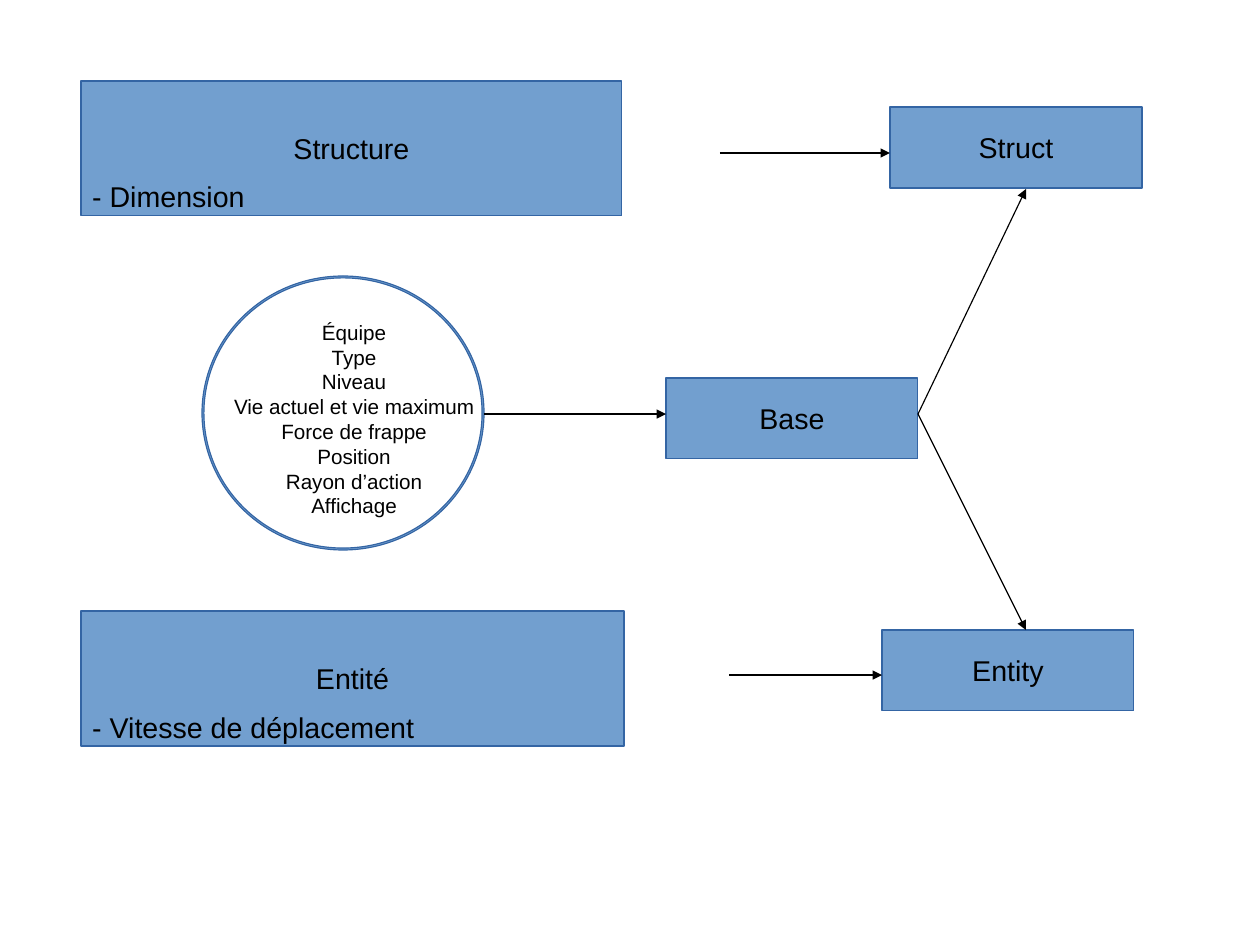
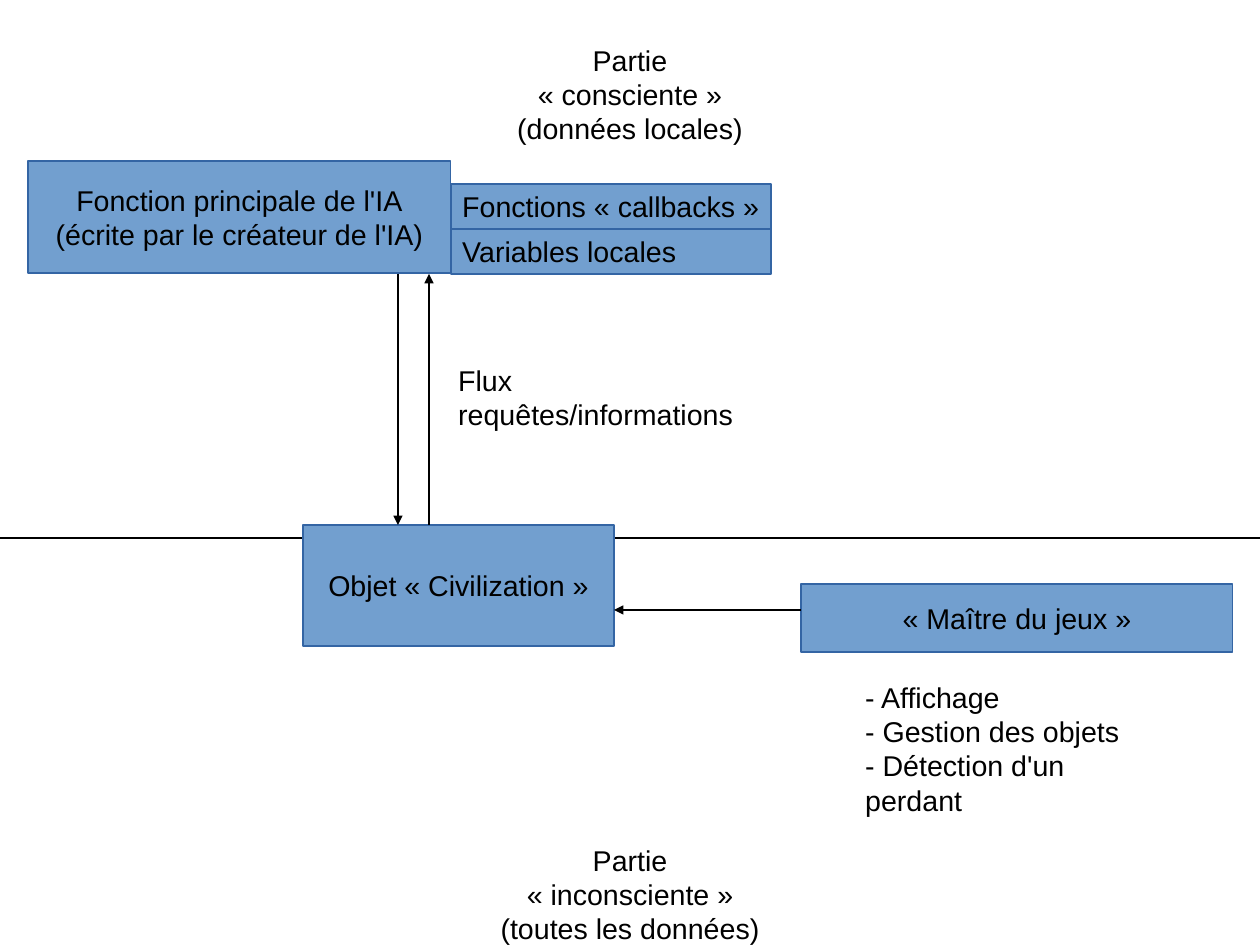
from pptx import Presentation
from pptx.dml.color import RGBColor
from pptx.enum.shapes import MSO_CONNECTOR, MSO_SHAPE
from pptx.enum.text import MSO_ANCHOR, PP_ALIGN
from pptx.util import Pt
from lxml.etree import SubElement
from pptx.oxml.ns import qn

PX = 8000
BLUE, EDGE, INK = "729FCF", "3465A4", "000000"
FONT = "Arial"
LEFT, MID = PP_ALIGN.LEFT, PP_ALIGN.CENTER
hue = RGBColor.from_string


def put(slide, area, text, align=MID, size=18, kind=None):
    area = [n * PX for n in area]
    if kind is None:
        shape = slide.shapes.add_textbox(*area)
    else:
        shape = slide.shapes.add_shape(kind, *area)
        shape.shadow.inherit = False
        shape.fill.solid()
        shape.fill.fore_color.rgb = hue(BLUE)
        shape.line.color.rgb = hue(EDGE)
        shape.line.width = Pt(0.75)
    frame = shape.text_frame
    frame.word_wrap = kind is None
    frame.vertical_anchor = MSO_ANCHOR.TOP if kind is None else MSO_ANCHOR.MIDDLE
    frame.text = text
    for para in frame.paragraphs:
        para.alignment = align
        for run in para.runs:
            run.font.name = FONT
            run.font.size = Pt(size)
            run.font.color.rgb = hue(INK)
    return shape


def link(slide, ends, arrow=True):
    line = slide.shapes.add_connector(MSO_CONNECTOR.STRAIGHT, *[n * PX for n in ends])
    line.line.color.rgb = hue(INK)
    line.line.width = Pt(0.75)
    if arrow:
        SubElement(line.line._get_or_add_ln(), qn("a:tailEnd"), type="triangle")
    SubElement(line._element.spPr, qn("a:effectLst"))


deck = Presentation()
deck.slide_width, deck.slide_height = 1260 * PX, 945 * PX
blank = deck.slide_layouts[6]
RECT = MSO_SHAPE.RECTANGLE

model = deck.slides.add_slide(blank)
for top, width, name in [(81, 541, "Structure"), (611, 543, "Entité")]:
    put(model, (81, top, width, 135), name, kind=RECT)

traits = ["Équipe", "Type", "Niveau", "Vie actuel et vie maximum",
          "Force de frappe", "Position", "Rayon d’action", "Affichage"]
put(model, (215, 314, 278, 216), "\n".join(traits), size=13)
put(model, (81, 173, 198, 48), "- Dimension", LEFT)
put(model, (81, 704, 350, 48), "- Vitesse de déplacement", LEFT)
ring = put(model, (202, 276, 282, 274), "", kind=MSO_SHAPE.DONUT)
ring.adjustments[0] = 0.007

for left, top, name in [(666, 378, "Base"), (890, 107, "Struct"), (882, 630, "Entity")]:
    put(model, (left, top, 252, 81), name, kind=RECT)
for ends in [(484, 414, 666, 414), (918, 414, 1026, 189), (918, 414, 1026, 630),
             (729, 675, 882, 675), (720, 153, 890, 153)]:
    link(model, ends)

flow = deck.slides.add_slide(blank)
link(flow, (0, 538, 1260, 538), arrow=False)
put(flow, (486, 37, 288, 75), "Partie «\u00a0consciente\u00a0»\n(données locales)")
put(flow, (475, 837, 310, 75), "Partie «\u00a0inconsciente\u00a0»\n(toutes les données)")

for area, text, align in [
    ((28, 161, 423, 112), "Fonction principale de l'IA\n(écrite par le créateur de l'IA)", MID),
    ((451, 184, 320, 45), "Fonctions «\u00a0callbacks\u00a0»", LEFT),
    ((451, 229, 320, 45), "Variables locales", LEFT),
    ((303, 525, 311, 121), "Objet «\u00a0Civilization\u00a0»", MID),
    ((801, 584, 432, 68), "«\u00a0Maître du jeux\u00a0»", MID),
]:
    put(flow, area, text, align, kind=RECT)

for ends in [(398, 274, 398, 525), (429, 525, 429, 274), (801, 610, 614, 610)]:
    link(flow, ends)
put(flow, (447, 357, 356, 45), "Flux requêtes/informations", LEFT)
tasks = ["- Affichage", "- Gestion des objets", "- Détection d'un perdant"]
put(flow, (854, 674, 324, 109), "\n".join(tasks), LEFT)

deck.save("out.pptx")
